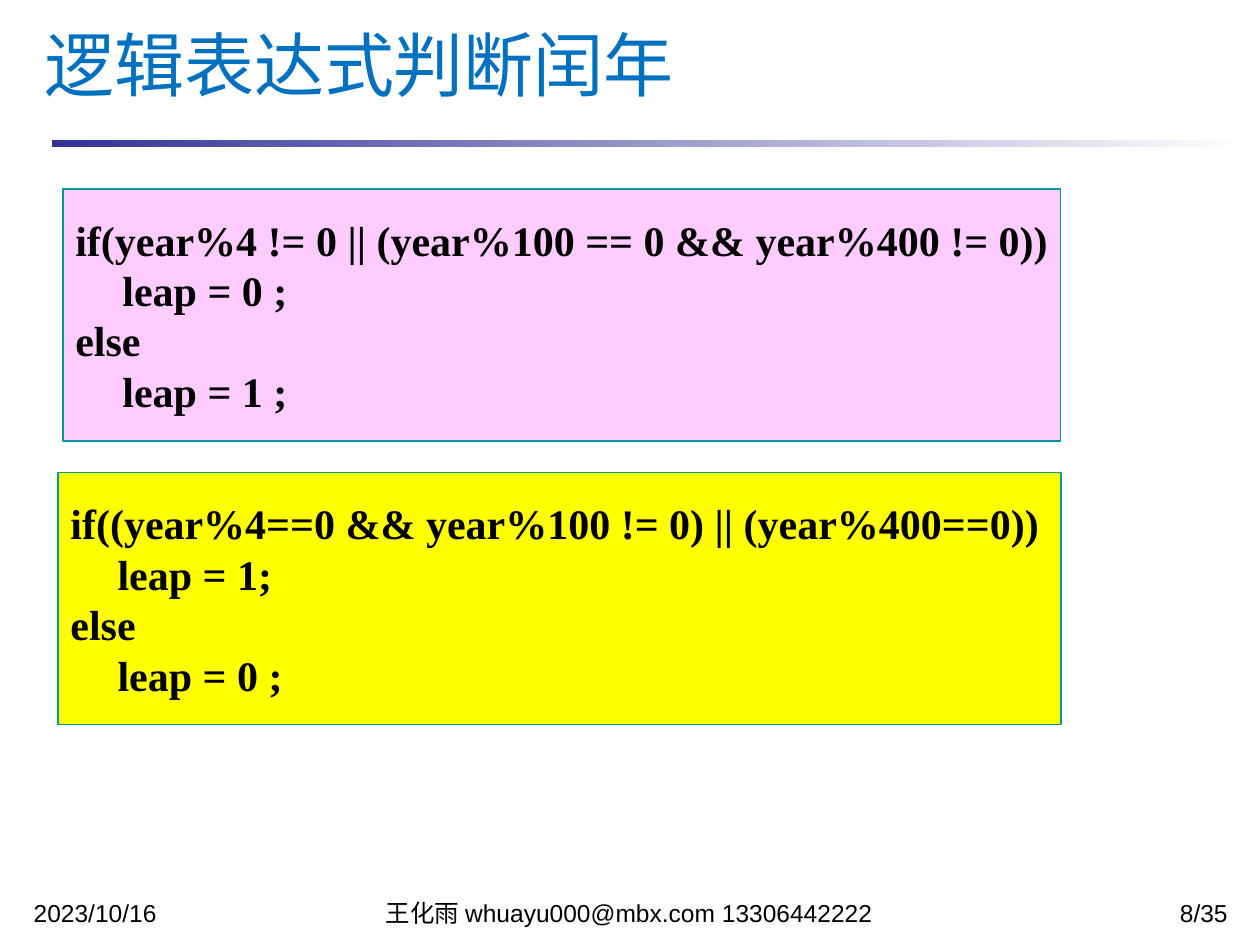
from dataclasses import dataclass

from pptx import Presentation
from pptx.dml.color import RGBColor
from pptx.enum.shapes import MSO_SHAPE
from pptx.enum.text import MSO_ANCHOR, MSO_AUTO_SIZE, PP_ALIGN
from pptx.util import Cm, Pt

RECTANGLE = MSO_SHAPE.RECTANGLE
MIDDLE, TOP = MSO_ANCHOR.MIDDLE, MSO_ANCHOR.TOP
LEFT, CENTER, RIGHT = PP_ALIGN.LEFT, PP_ALIGN.CENTER, PP_ALIGN.RIGHT
NO_AUTOFIT = MSO_AUTO_SIZE.NONE
TITLE_ONLY = 5


@dataclass(frozen=True)
class Theme:
    title_color: str = "0070C0"
    text_color: str = "000000"
    rule_start: str = "333399"
    rule_end: str = "FFFFFF"
    border: str = "009999"
    pink: str = "FFCCFF"
    yellow: str = "FFFF00"
    serif: str = "Times New Roman"
    sans: str = "Arial"
    title_size: int = 40
    code_size: int = 24
    footer_size: int = 14
    border_width: float = 0.75


class SlideBuilder:
    def __init__(self, slide, theme):
        self.slide = slide
        self.theme = theme

    def add_run(self, paragraph, text, font, size, color, bold=False):
        run = paragraph.add_run()
        run.text = text
        run.font.name = font
        run.font.size = Pt(size)
        run.font.bold = bold
        run.font.color.rgb = RGBColor.from_string(color)

    def rectangle(self, left, top, width, height):
        shape = self.slide.shapes.add_shape(
            RECTANGLE, Cm(left), Cm(top), Cm(width), Cm(height))
        shape.shadow.inherit = False
        return shape

    def title(self, text, left, top, width, height):
        title = self.slide.shapes.title
        title.left, title.top = Cm(left), Cm(top)
        title.width, title.height = Cm(width), Cm(height)
        frame = title.text_frame
        frame.auto_size = NO_AUTOFIT
        frame.vertical_anchor = MIDDLE
        paragraph = frame.paragraphs[0]
        paragraph.alignment = LEFT
        self.add_run(paragraph, text, self.theme.serif,
                     self.theme.title_size, self.theme.title_color)

    def gradient_rule(self, left, top, width, height):
        shape = self.rectangle(left, top, width, height)
        shape.line.fill.background()
        shape.fill.gradient()
        shape.fill.gradient_angle = 0
        colors = (self.theme.rule_start, self.theme.rule_end)
        for stop, color in zip(shape.fill.gradient_stops, colors):
            stop.color.rgb = RGBColor.from_string(color)

    def code_box(self, lines, fill, left, top, width, height):
        """Draw a code panel; lines are (indent level, text) pairs."""
        shape = self.rectangle(left, top, width, height)
        shape.fill.solid()
        shape.fill.fore_color.rgb = RGBColor.from_string(fill)
        shape.line.color.rgb = RGBColor.from_string(self.theme.border)
        shape.line.width = Pt(self.theme.border_width)
        frame = shape.text_frame
        frame.word_wrap = False
        frame.vertical_anchor = MIDDLE
        step = Cm(0.95)
        for index, (level, text) in enumerate(lines):
            paragraph = frame.add_paragraph() if index else frame.paragraphs[0]
            paragraph.alignment = LEFT
            properties = paragraph._p.get_or_add_pPr()
            properties.set("marL", str(step))
            properties.set("indent", str(step * (level - 1)))
            self.add_run(paragraph, text, self.theme.serif,
                         self.theme.code_size, self.theme.text_color, bold=True)

    def footer(self, text, alignment, left, top, width, height):
        box = self.slide.shapes.add_textbox(
            Cm(left), Cm(top), Cm(width), Cm(height))
        frame = box.text_frame
        frame.word_wrap = True
        frame.vertical_anchor = TOP
        frame.margin_top = frame.margin_bottom = 0
        paragraph = frame.paragraphs[0]
        paragraph.alignment = alignment
        paragraph.line_spacing = 0.8
        paragraph.space_before = Pt(0.2 * self.theme.footer_size)
        self.add_run(paragraph, text, self.theme.sans,
                     self.theme.footer_size, self.theme.text_color)


def main():
    presentation = Presentation()
    presentation.slide_width, presentation.slide_height = Cm(25.4), Cm(19.05)
    theme = Theme()
    slide = presentation.slides.add_slide(
        presentation.slide_layouts[TITLE_ONLY])
    builder = SlideBuilder(slide, theme)

    # Heading and the rule below it
    builder.gradient_rule(1.04, 2.82, 24.16, 0.15)
    builder.title("逻辑表达式判断闰年", 0.64, 0.43, 23.7, 1.7)

    # Two equivalent leap year tests
    builder.code_box([
        (0, "if((year%4==0 && year%100 != 0) || (year%400==0))"),
        (1, "leap = 1;"),
        (0, "else"),
        (1, "leap = 0 ;"),
    ], theme.yellow, 1.17, 9.53, 20.22, 5.08)
    builder.code_box([
        (0, "if(year%4 != 0 || (year%100 == 0 && year%400 != 0))"),
        (1, "leap = 0 ;"),
        (0, "else"),
        (1, "leap = 1 ;"),
    ], theme.pink, 1.27, 3.81, 20.11, 5.08)

    # Footer: date, author and page
    for text, alignment, left, width in (
        ("2023/10/16", LEFT, 0.43, 5.92),
        ("王化雨 whuayu000@mbx.com 13306442222", CENTER, 6.55, 12.27),
        ("8/35", RIGHT, 20.12, 4.88),
    ):
        builder.footer(text, alignment, left, 18.21, width, 0.46)

    presentation.save("out.pptx")


if __name__ == "__main__":
    main()
